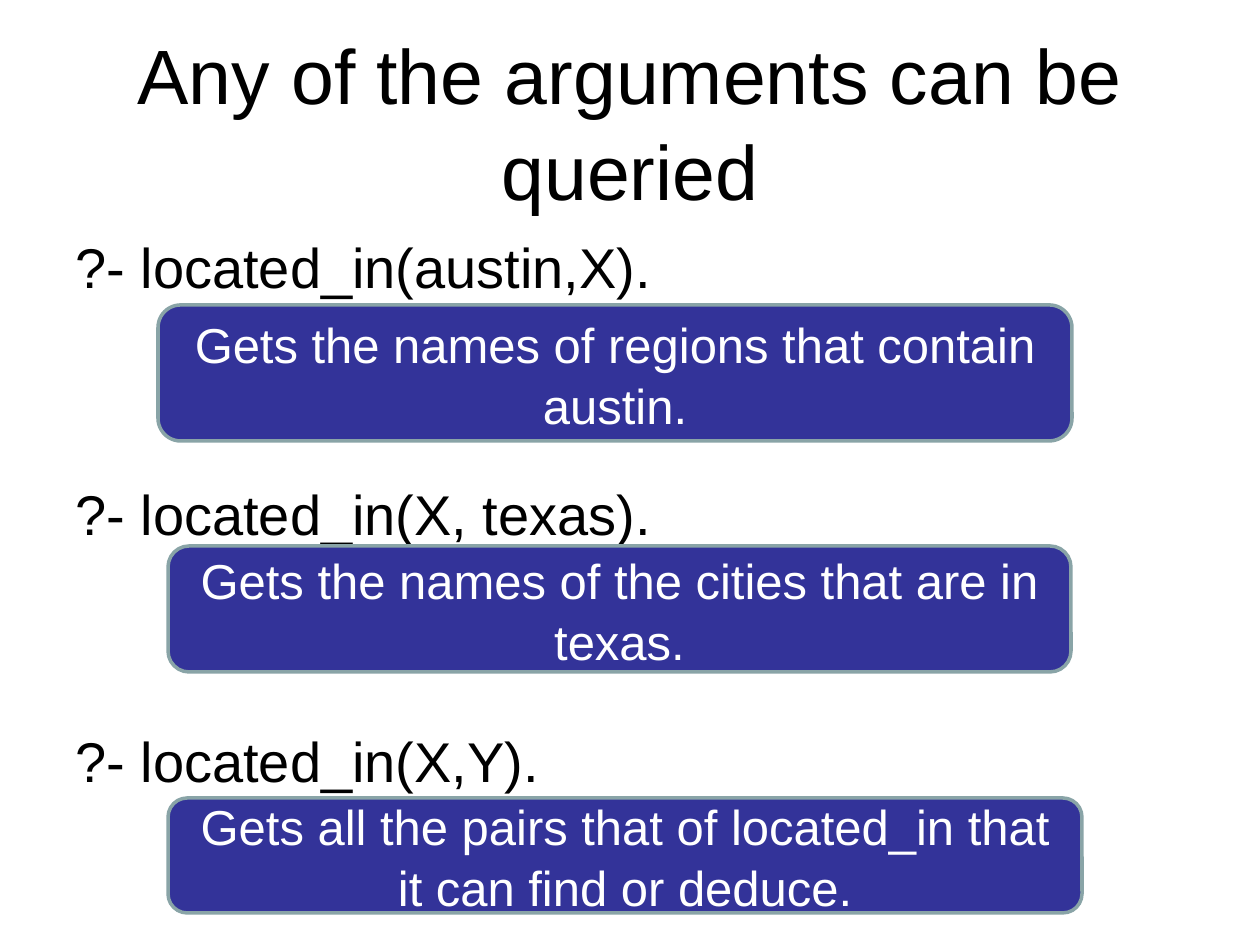
from pptx import Presentation
from pptx import util as u
from pptx.dml.color import RGBColor
from pptx.enum import shapes, text

PX = 914400 / 126
BLACK = RGBColor(0x00, 0x00, 0x00)
WHITE = RGBColor(0xFF, 0xFF, 0xFF)
INDIGO = RGBColor(0x33, 0x33, 0x99)
GREY_TEAL = RGBColor(0x89, 0xA4, 0xA7)


def px(*lengths):
    return [u.Emu(round(length * PX)) for length in lengths]


def write(para, words, size, color, align):
    para.alignment = align
    para.line_spacing = 1.04
    span = para.add_run()
    span.text = words
    span.font.name = "Arial"
    span.font.size = u.Pt(size)
    span.font.color.rgb = color


deck = Presentation()
deck.slide_width, deck.slide_height = px(1260, 945)
page = deck.slides.add_slide(deck.slide_layouts[5])

title = page.shapes.title
title.left, title.top, title.width, title.height = px(63, 41, 1134, 158)
title.text_frame.word_wrap = True
title.text_frame.auto_size = text.MSO_AUTO_SIZE.NONE
title.text_frame.vertical_anchor = text.MSO_ANCHOR.MIDDLE
write(title.text_frame.paragraphs[0], "Any of the arguments can be queried",
      44, BLACK, text.PP_ALIGN.CENTER)

queries = ["?- located_in(austin,X).", "?- located_in(X, texas).", "?- located_in(X,Y)."]
query_box = page.shapes.add_textbox(*px(63, 224, 1134, 620))
frame = query_box.text_frame
frame.word_wrap = True
for index, query in enumerate(queries):
    para = frame.add_paragraph() if index else frame.paragraphs[0]
    if index:
        para.space_before = u.Pt(101)
    write(para, query, 32, BLACK, text.PP_ALIGN.LEFT)

answers = [
    ("Gets the names of regions that contain austin.", 158, 305, 914, 136),
    ("Gets the names of the cities that are in texas.", 168, 546, 903, 126),
    ("Gets all the pairs that of located_in that it can find or deduce.", 168, 798, 914, 115),
]
for words, *bounds in answers:
    box = page.shapes.add_shape(shapes.MSO_SHAPE.ROUNDED_RECTANGLE, *px(*bounds))
    box.shadow.inherit = False
    box.fill.solid()
    box.fill.fore_color.rgb = INDIGO
    box.line.color.rgb = GREY_TEAL
    box.line.width = u.Pt(2)
    box.text_frame.word_wrap = True
    box.text_frame.vertical_anchor = text.MSO_ANCHOR.MIDDLE
    write(box.text_frame.paragraphs[0], words, 28, WHITE, text.PP_ALIGN.CENTER)

deck.save("out.pptx")
